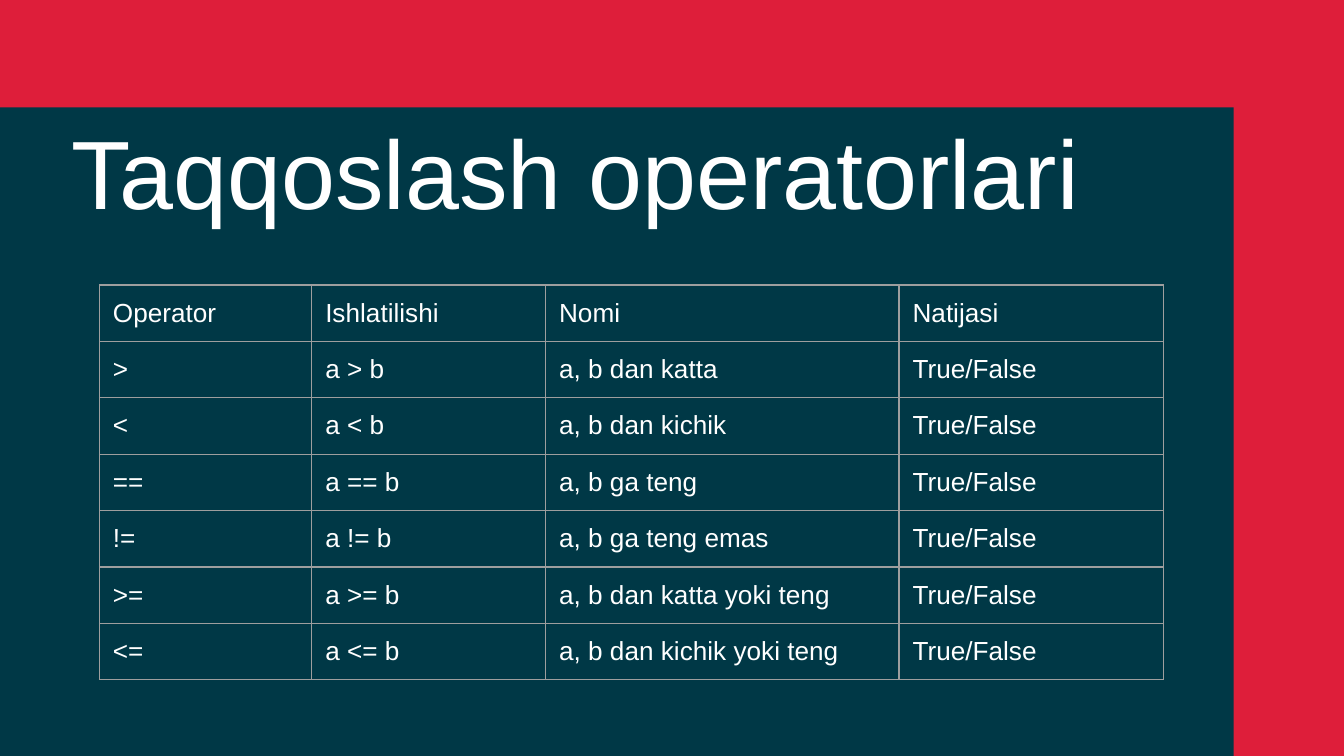
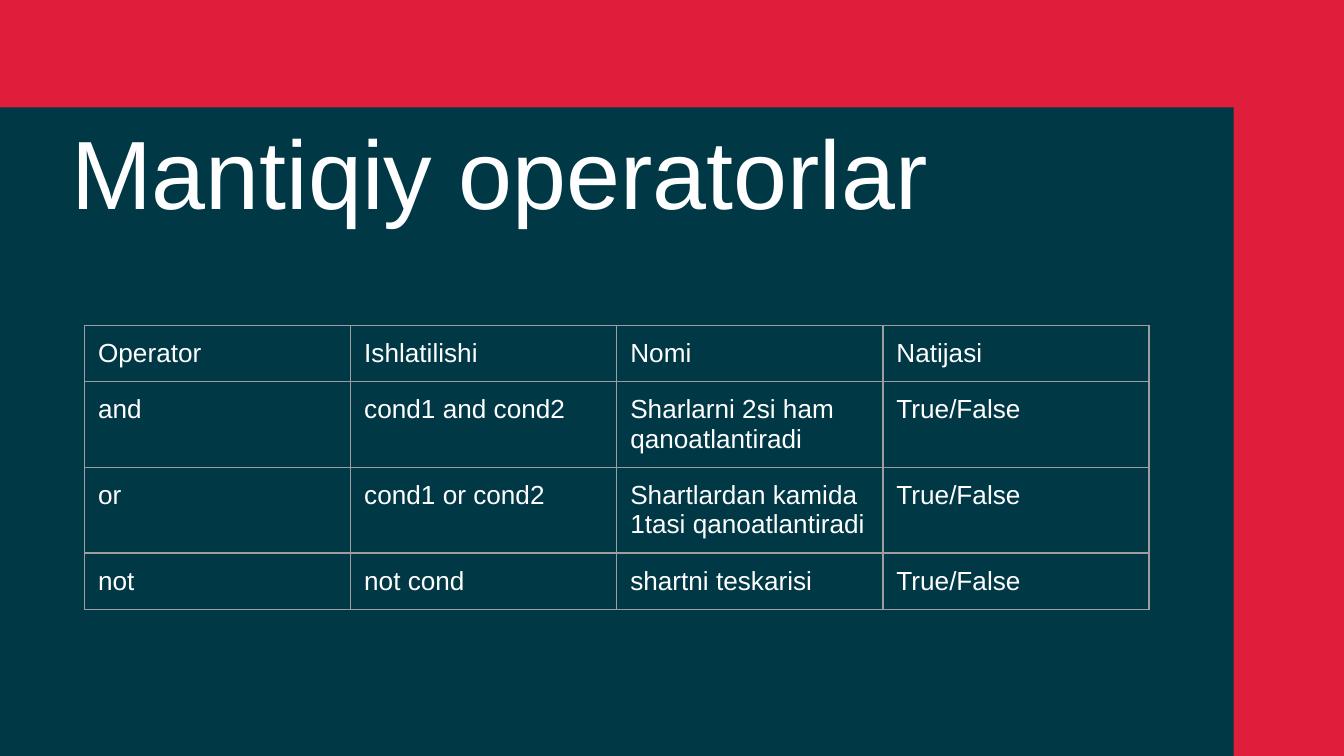
from dataclasses import dataclass

from lxml import etree
from pptx import Presentation
from pptx.dml.color import RGBColor
from pptx.enum.shapes import MSO_SHAPE
from pptx.enum.text import MSO_ANCHOR, MSO_AUTO_SIZE, PP_ALIGN
from pptx.oxml.ns import qn
from pptx.util import Inches, Pt

RECTANGLE = MSO_SHAPE.RECTANGLE
TOP = MSO_ANCHOR.TOP
LEFT = PP_ALIGN.LEFT
NO_AUTOFIT = MSO_AUTO_SIZE.NONE

RED = "DE1E3A"
NAVY = "003846"
WHITE = "FFFFFF"
GREY = "9E9E9E"
FONT = "Arial"

TITLE_ONLY = 5
PAGE_WIDTH = Inches(10)
PAGE_HEIGHT = PAGE_WIDTH * 9 // 16
ROW_HEIGHT = 0.42
CELL_MARGIN = Inches(0.1)
HEADER = ("Operator", "Ishlatilishi", "Nomi", "Natijasi")
RESULT = "True/False"


@dataclass(frozen=True)
class OperatorSlide:
    title: str
    title_height: float
    table_left: float
    table_top: float
    column_widths: tuple[float, ...]
    operators: tuple[tuple[str, str, str], ...]  # operator, usage, name


SLIDES = (
    OperatorSlide(
        "Taqqoslash operatorlari", 1.23, 0.74, 2.12, (1.58, 1.74, 2.63, 1.97),
        (
            (">", "a > b", "a, b dan katta"),
            ("<", "a < b", "a, b dan kichik"),
            ("==", "a == b", "a, b ga teng"),
            ("!=", "a != b", "a, b ga teng emas"),
            (">=", "a >= b", "a, b dan katta yoki teng"),
            ("<=", "a <= b", "a, b dan kichik yoki teng"),
        ),
    ),
    OperatorSlide(
        "Mantiqiy operatorlar", 1.13, 0.63, 2.42, (1.98,) * 4,
        (
            ("and", "cond1 and cond2", "Sharlarni 2si ham qanoatlantiradi"),
            ("or", "cond1 or cond2", "Shartlardan kamida 1tasi qanoatlantiradi"),
            ("not", "not cond", "shartni teskarisi"),
        ),
    ),
)


def colour(value: str) -> RGBColor:
    return RGBColor.from_string(value)


def style_paragraph(paragraph, size: float) -> None:
    paragraph.alignment = LEFT
    paragraph.font.name = FONT
    paragraph.font.size = Pt(size)
    paragraph.font.color.rgb = colour(WHITE)


def add_title(page, text: str, height: float) -> None:
    title = page.shapes.title
    title.left, title.top = Inches(0.53), Inches(1)
    title.width, title.height = Inches(8), Inches(height)
    frame = title.text_frame
    frame.text = text
    frame.word_wrap = True
    frame.auto_size = NO_AUTOFIT
    frame.vertical_anchor = TOP
    frame.margin_left = frame.margin_right = 0
    frame.margin_top = frame.margin_bottom = 0
    paragraph = frame.paragraphs[0]
    style_paragraph(paragraph, 52)
    paragraph.line_spacing = 0.81


def add_panel(page) -> None:
    panel = page.shapes.add_shape(
        RECTANGLE, 0, Inches(0.8), Inches(9.18), Inches(4.83)
    )
    panel.shadow.inherit = False
    panel.fill.solid()
    panel.fill.fore_color.rgb = colour(NAVY)
    panel.line.fill.background()
    # The panel lies behind the title
    page.shapes.title.element.addprevious(panel.element)


def add_borders(cell) -> None:
    properties = cell._tc.get_or_add_tcPr()
    for side in ("a:lnL", "a:lnR", "a:lnT", "a:lnB"):
        line = etree.SubElement(properties, qn(side), w=str(Pt(0.75)))
        fill = etree.SubElement(line, qn("a:solidFill"))
        etree.SubElement(fill, qn("a:srgbClr"), val=GREY)


def fill_cell(cell, text: str) -> None:
    cell.text = text
    cell.margin_left = cell.margin_right = CELL_MARGIN
    cell.margin_top = cell.margin_bottom = CELL_MARGIN
    cell.vertical_anchor = TOP
    style_paragraph(cell.text_frame.paragraphs[0], 14)
    add_borders(cell)
    cell.fill.background()


def add_operator_table(page, content: OperatorSlide) -> None:
    rows = [HEADER] + [(*operator, RESULT) for operator in content.operators]
    table = page.shapes.add_table(
        len(rows), len(HEADER),
        Inches(content.table_left), Inches(content.table_top),
        Inches(sum(content.column_widths)), Inches(ROW_HEIGHT * len(rows)),
    ).table
    table.first_row = table.horz_banding = False
    for column, width in zip(table.columns, content.column_widths):
        column.width = Inches(width)
    for row, texts in zip(table.rows, rows):
        row.height = Inches(ROW_HEIGHT)
        for cell, text in zip(row.cells, texts):
            fill_cell(cell, text)


def main() -> None:
    deck = Presentation()
    deck.slide_width, deck.slide_height = PAGE_WIDTH, PAGE_HEIGHT

    # Shared background
    background = deck.slide_master.background.fill
    background.solid()
    background.fore_color.rgb = colour(RED)

    for content in SLIDES:
        page = deck.slides.add_slide(deck.slide_layouts[TITLE_ONLY])
        add_title(page, content.title, content.title_height)
        add_panel(page)
        add_operator_table(page, content)
    deck.save("out.pptx")


if __name__ == "__main__":
    main()
